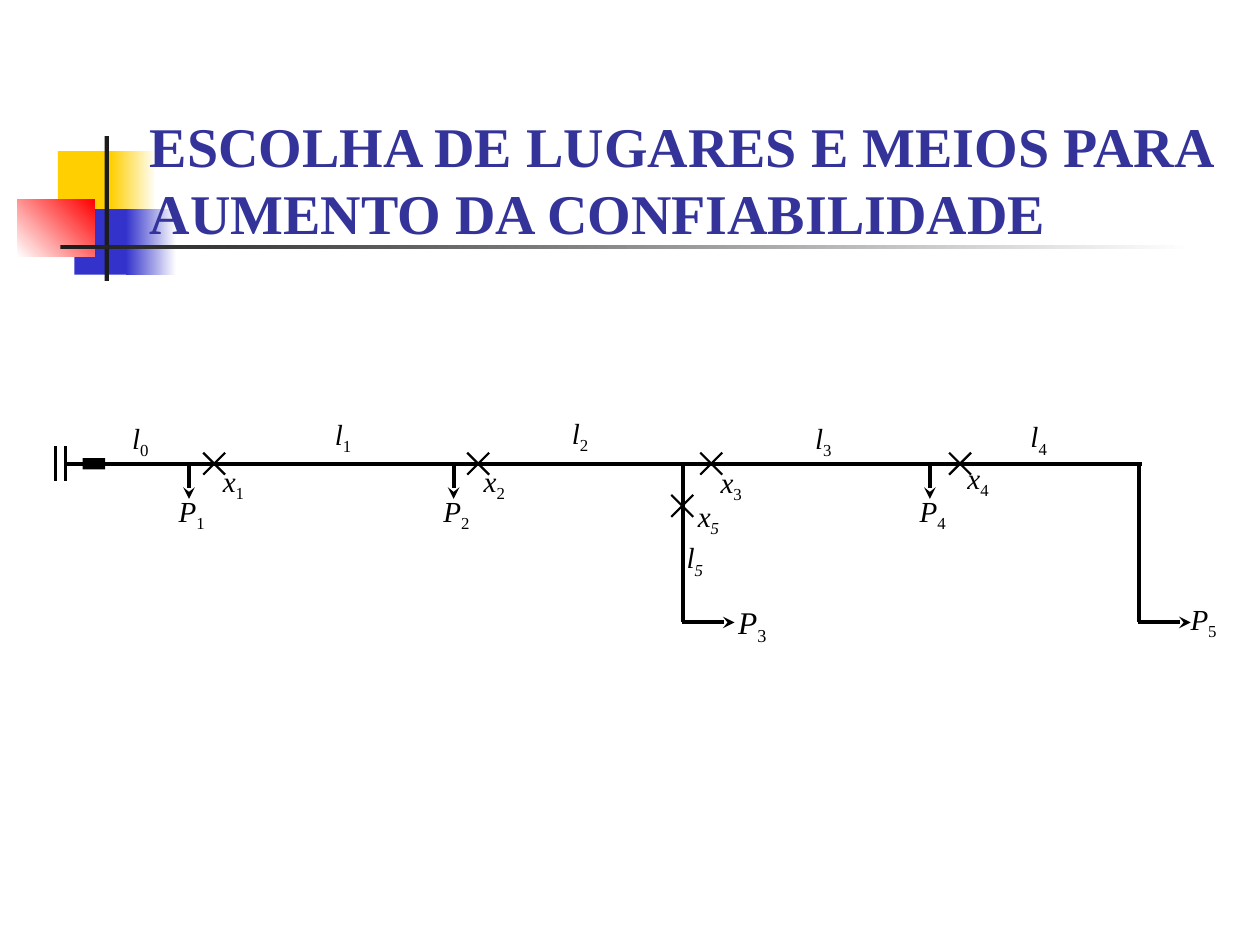
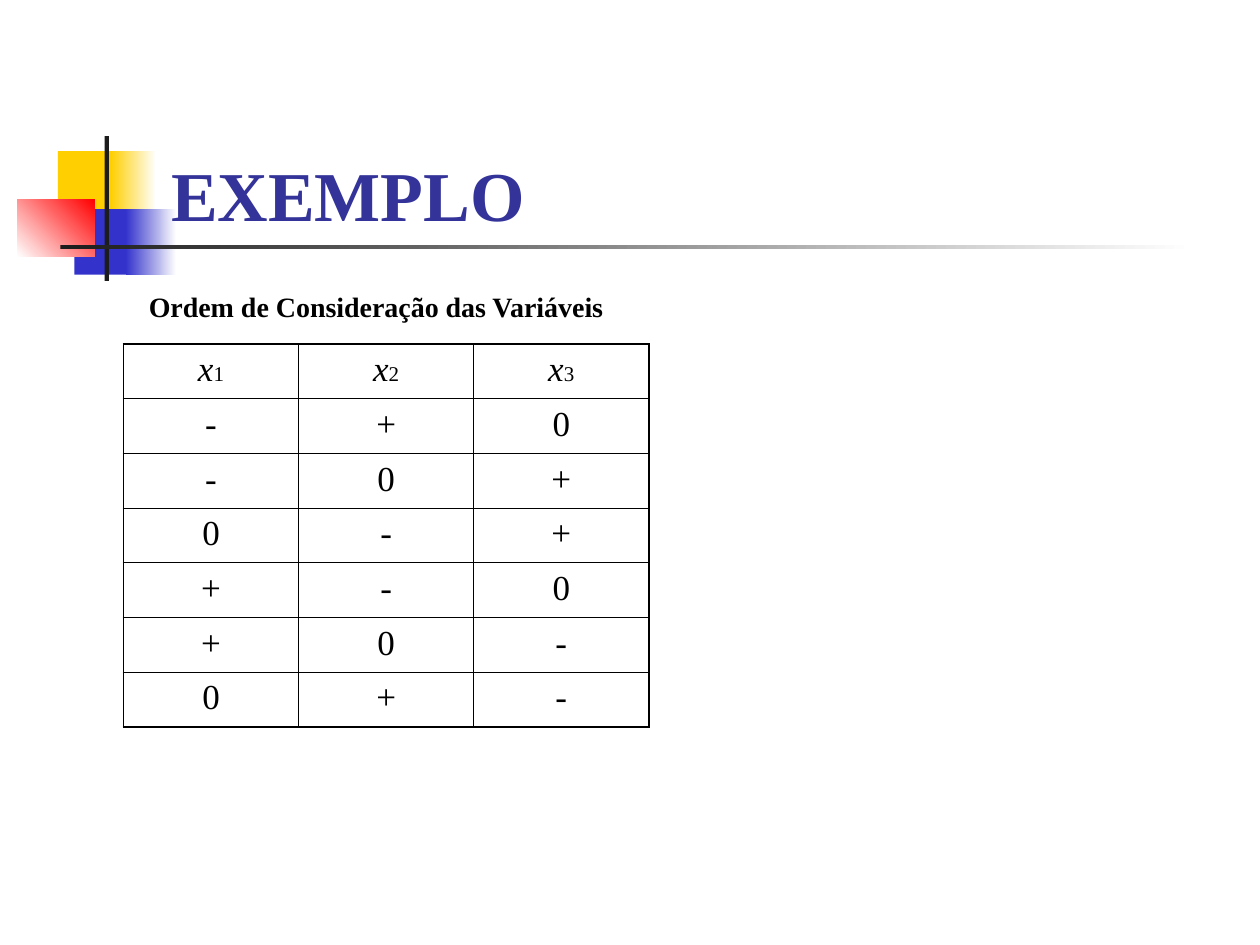
from dataclasses import dataclass

from lxml.etree import SubElement
from pptx import Presentation
from pptx.dml.color import RGBColor
from pptx.enum.shapes import MSO_CONNECTOR, MSO_SHAPE
from pptx.enum.text import MSO_ANCHOR, PP_ALIGN
from pptx.oxml import parse_xml
from pptx.oxml.ns import nsdecls, qn
from pptx.util import Inches, Pt

FONT = "Times New Roman"
BLACK, WHITE, DARK = "000000", "FFFFFF", "1C1C1C"
YELLOW, BLUE, RED, NAVY = "FFCF01", "3333CC", "FF0000", "333399"
COLUMNS, ROWS = 100, 75
UNIT = Inches(10) // COLUMNS


@dataclass
class Box:
    """A region measured in columns and rows of the slide grid."""
    left: float
    top: float
    width: float
    height: float

    def point(self, column, row):
        """Return a point of the region in slide units."""
        return round((self.left + column) * UNIT), round((self.top + row) * UNIT)

    def area(self, column=0, row=0, width=None, height=None):
        """Return left, top, width and height of a part, or of the whole region."""
        width = self.width if width is None else width
        height = self.height if height is None else height
        return *self.point(column, row), round(width * UNIT), round(height * UNIT)


def color(value):
    """Turn a hex string into a colour."""
    return RGBColor.from_string(value)


def style(span, size, ink=BLACK, bold=False, italic=False):
    """Format one run."""
    font = span.font
    font.name, font.size, font.bold, font.italic = FONT, Pt(size), bold, italic
    font.color.rgb = color(ink)


def add_text(page, area, text, size, ink=BLACK, bold=True):
    """Add a wrapped text box and return its frame."""
    frame = page.shapes.add_textbox(*area).text_frame
    frame.word_wrap = True
    frame.text = text
    style(frame.paragraphs[0].runs[0], size, ink, bold)
    return frame


def add_bar(page, area, start, end=None, angle=0):
    """Add a borderless rectangle, plain or fading from start to end."""
    bar = page.shapes.add_shape(MSO_SHAPE.RECTANGLE, *area)
    bar.shadow.inherit = False
    bar.line.fill.background()
    if end is None:
        bar.fill.solid()
        bar.fill.fore_color.rgb = color(start)
        return
    bar.fill.gradient()
    bar.fill.gradient_angle = angle
    for stop, value, position in zip(bar.fill.gradient_stops, (start, end), (0, 1)):
        stop.color.rgb = color(value)
        stop.position = position


def add_line(page, start, end, weight=2.25, arrow=False):
    """Add a black straight line, with an arrowhead at its end if asked."""
    line = page.shapes.add_connector(MSO_CONNECTOR.STRAIGHT, *start, *end)
    line.line.width = Pt(weight)
    line.line.color.rgb = color(BLACK)
    if arrow:
        SubElement(line.line._get_or_add_ln(), qn("a:tailEnd"), type="stealth")
    SubElement(line._element.spPr, qn("a:effectLst"))


def add_symbol(page, box, column, row, symbol, size=16.6, spacing=0.9):
    """Add an italic letter with its subscript number."""
    area = box.area(column, row, 6.1, 4.2)
    frame = page.shapes.add_textbox(*area).text_frame
    frame.word_wrap = False
    para = frame.paragraphs[0]
    para.line_spacing = spacing
    for index, letter in enumerate(symbol):
        span = para.add_run()
        span.text = letter
        style(span, size, italic=index == 0 or symbol in ("x5", "l5"))
    span._r.get_or_add_rPr().set("baseline", "-25000")


def draw_emblem(page, box):
    """Draw the coloured squares and the crossing rules."""
    add_bar(page, box.area(3.2, 1.2, 4.8, 5.2), YELLOW)
    add_bar(page, box.area(7.4, 1.2, 3.6, 5.2), YELLOW, WHITE)
    add_bar(page, box.area(4.5, 5.8, 4.6, 5.2), BLUE)
    add_bar(page, box.area(8.6, 5.8, 4, 5.2), BLUE, WHITE)
    add_bar(page, box.area(0, 5, 6.1, 4.6), WHITE, RED, 45)
    add_bar(page, box.area(6.9, 0, 0.35, box.height), DARK)
    add_bar(page, box.area(3.4, 8.65, 90, 0.35), DARK, WHITE)


def draw_title(page, box, text, size):
    """Write the slide title on the bottom of its box."""
    frame = add_text(page, box.area(), text, size, NAVY)
    frame.vertical_anchor = MSO_ANCHOR.BOTTOM


def draw_feeder(page, box):
    """Draw the feeder with its source, loads, switches and sections."""
    bus = 4.3
    add_line(page, box.point(0.8, bus), box.point(86.2, bus))
    for column in (0, 0.8):
        add_line(page, box.point(column, bus - 1.4), box.point(column, bus + 1.4), 2)
    add_bar(page, box.area(2.15, bus - 0.45, 1.8, 0.9), BLACK)

    for load, column in {"P1": 10.6, "P2": 31.6, "P4": 69.4}.items():
        add_line(page, box.point(column, bus), box.point(column, bus + 2.8), arrow=True)
        add_symbol(page, box, column - 1.8, bus + 1.9, load)

    end = bus + 12.6
    for column in (49.8, 86):
        add_line(page, box.point(column, bus), box.point(column, end))
        add_line(page, box.point(column - 0.1, end), box.point(column + 4.1, end), arrow=True)
    add_symbol(page, box, 53.2, 14.9, "P3", 18, 1)
    add_symbol(page, box, 89.1, 14.8, "P5")

    switches = {
        "x1": (12.6, bus, -0.3, -0.5), "x2": (33.55, bus, -0.55, -0.5),
        "x3": (52.05, bus, -0.25, -0.4), "x4": (71.8, bus, -0.4, -0.7),
        "x5": (49.75, bus + 3.35, 0.25, -1.05),
    }
    arm = 0.87
    for name, (column, row, right, down) in switches.items():
        for rise in (arm, -arm):
            add_line(page, box.point(column + arm, row - rise),
                     box.point(column - arm, row + rise), 1.25)
        add_symbol(page, box, column + right, row + down, name)

    sections = {"l0": (5.1, 0.4), "l1": (21.2, 0.1), "l2": (40, 0),
                "l3": (59.3, 0.4), "l4": (76.4, 0.3), "l5": (49.1, 9.9)}
    for name, (column, row) in sections.items():
        add_symbol(page, box, column, row, name)


def set_borders(cell, weights):
    """Give a cell black left, right, top and bottom borders."""
    properties = cell._tc.get_or_add_tcPr()
    for index, (side, weight) in enumerate(zip("LRTB", weights)):
        properties.insert(index, parse_xml(
            f'<a:ln{side} {nsdecls("a")} w="{Pt(weight)}"><a:solidFill>'
            f'<a:srgbClr val="{BLACK}"/></a:solidFill></a:ln{side}>'))


def draw_table(page, box, rows):
    """Draw the table of variables with a thicker outer frame."""
    last_row, last_column = len(rows) - 1, len(rows[0]) - 1
    table = page.shapes.add_table(last_row + 1, last_column + 1, *box.area()).table
    table.first_row = table.horz_banding = False
    for y, row in enumerate(rows):
        for x, text in enumerate(row):
            cell = table.cell(y, x)
            cell.fill.background()
            outer = (x == 0, x == last_column, y == 0, y == last_row)
            set_borders(cell, [1.08 if edge else 0.45 for edge in outer])
            para = cell.text_frame.paragraphs[0]
            para.alignment = PP_ALIGN.CENTER
            for index, letter in enumerate(text):
                span = para.add_run()
                span.text = letter
                style(span, 12 if index else 20, italic=letter == "x")


def draw_caption(page, box, text):
    """Write the centred heading above the table."""
    para = add_text(page, box.area(), text, 16).paragraphs[0]
    para.alignment = PP_ALIGN.CENTER
    para.space_before = Pt(4)


def add_page(deck, title_box, title, size):
    """Add a slide with the shared emblem and title."""
    page = deck.slides.add_slide(deck.slide_layouts[6])
    draw_emblem(page, Box(1.4, 10.8, 93.4, 11.5))
    draw_title(page, title_box, title, size)
    return page


def main():
    """Build and save the deck."""
    deck = Presentation()
    deck.slide_width, deck.slide_height = COLUMNS * UNIT, ROWS * UNIT

    page = add_page(deck, Box(10.9, 6.7, 87.4, 13.3),
                    "ESCOLHA DE LUGARES E MEIOS PARA AUMENTO DA CONFIABILIDADE", 32)
    draw_feeder(page, Box(4.4, 32.5, 95.2, 20))

    page = add_page(deck, Box(12.6, 6.7, 85.2, 12.5), "EXEMPLO", 40)
    orders = ["-+0", "-0+", "0-+", "+-0", "+0-", "0+-"]
    draw_table(page, Box(9.8, 27.3, 41.7, 30.4), [["x1", "x2", "x3"], *orders])
    draw_caption(page, Box(9, 22.5, 41.7, 4.5), "Ordem de Consideração das Variáveis")

    deck.save("out.pptx")


if __name__ == "__main__":
    main()
